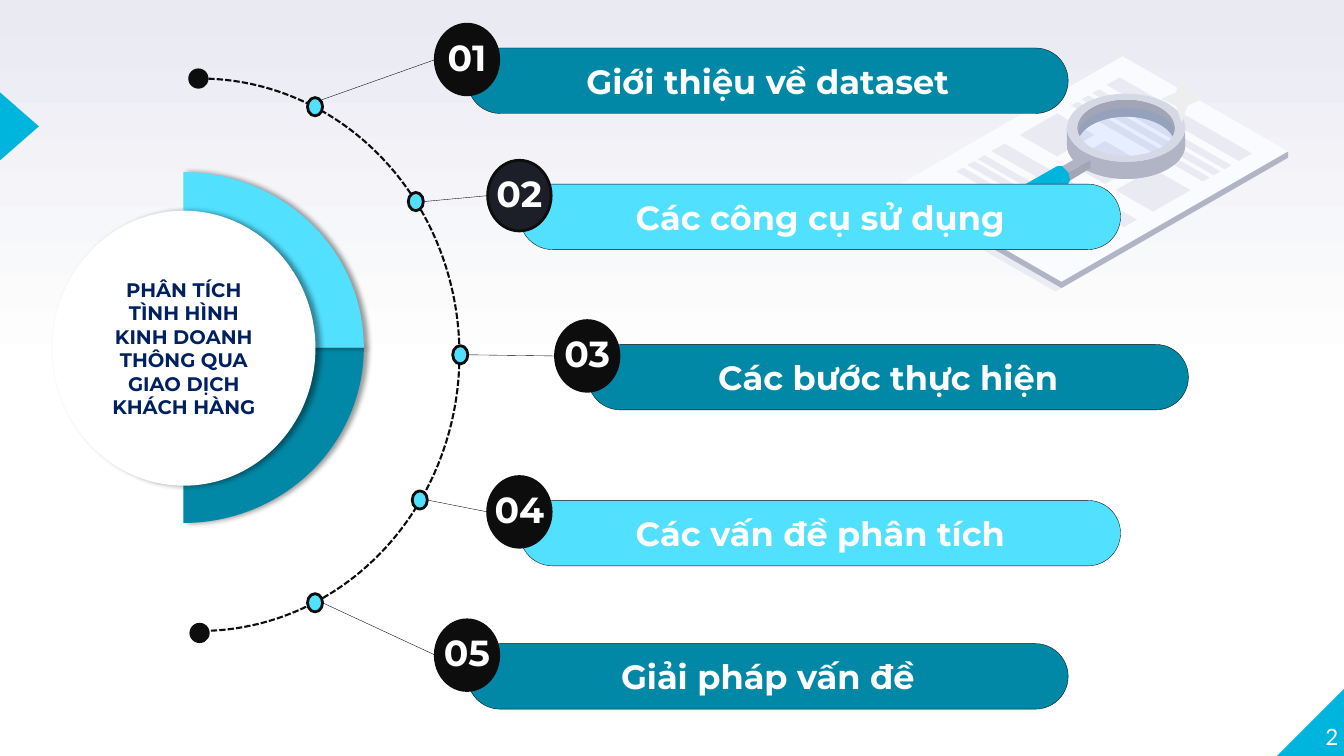
from collections import namedtuple
from dataclasses import dataclass
from math import cos, pi, sin

from lxml import etree
from pptx import Presentation
from pptx.dml.color import RGBColor
from pptx.enum.dml import MSO_LINE
from pptx.enum.shapes import MSO_CONNECTOR, MSO_SHAPE
from pptx.enum.text import MSO_ANCHOR, PP_ALIGN
from pptx.oxml.ns import qn
from pptx.util import Cm, Pt

CIRCLE = MSO_SHAPE.FLOWCHART_CONNECTOR
PILL = MSO_SHAPE.ROUNDED_RECTANGLE
ARC = MSO_SHAPE.ARC
STAR = MSO_SHAPE.STAR_4_POINT
TRIANGLE = MSO_SHAPE.ISOSCELES_TRIANGLE
CORNER = MSO_SHAPE.RIGHT_TRIANGLE
STRAIGHT = MSO_CONNECTOR.STRAIGHT
DASHED = MSO_LINE.SQUARE_DOT
MIDDLE, BOTTOM = MSO_ANCHOR.MIDDLE, MSO_ANCHOR.BOTTOM
CENTER, RIGHT = PP_ALIGN.CENTER, PP_ALIGN.RIGHT

Box = namedtuple("Box", "left top width height")
Topic = namedtuple("Topic", "title node angle badge bar_fill badge_fill")


@dataclass(frozen=True)
class Theme:
    white: str = "FFFFFF"
    mist: str = "E9EAF2"
    accent: str = "00B5DD"
    teal: str = "0088A6"
    sky: str = "52E0FF"
    ink: str = "0D0D0D"
    slate: str = "1D1F28"
    navy: str = "002060"
    black: str = "000000"
    sheet: str = "FAFBFF"
    rim: str = "D6D8E5"
    edge: str = "B1B4C4"
    shade: str = "A1A5B5"
    glass: str = "3E7EFF"
    spark: str = "EEEEEE"
    heading_font: str = "Montserrat"
    number_font: str = "Lato"
    center_size: float = 14
    bar_size: float = 24
    badge_size: float = 25.9
    page_size: float = 16
    hairline: float = 0.25
    arc_line: float = 1.5
    ring_line: float = 2


THEME = Theme()

TOPICS = [
    Topic("Giới thiệu về dataset", (7.94, 2.69), -pi / 4, (10.97, 0.61), THEME.teal, THEME.ink),
    Topic("Các công cụ sử dụng", (10.48, 5.08), 0, (12.29, 4.04), THEME.sky, THEME.slate),
    Topic("Các bước thực hiện", (11.6, 8.94), 0, (14, 8.08), THEME.teal, THEME.ink),
    Topic("Các vấn đề phân tích", (10.58, 12.6), 0, (12.29, 12.01), THEME.sky, THEME.ink),
    Topic("Giải pháp vấn đề", (7.94, 15.19), 0, (10.97, 15.62), THEME.teal, THEME.ink),
]


def assign(target, values):
    for name, value in values.items():
        setattr(target, name, value)


def paint(shape, fill=None, line=None, weight=0, alpha=None, shadow=False):
    shape.shadow.inherit = False
    if fill:
        shape.fill.solid()
        shape.fill.fore_color.rgb = RGBColor.from_string(fill)
    else:
        shape.fill.background()
    if line:
        shape.line.color.rgb = RGBColor.from_string(line)
        shape.line.width = Pt(weight)
    else:
        shape.line.fill.background()
    if alpha:
        color = shape.element.spPr.find(qn("a:solidFill"))[0]
        etree.SubElement(color, qn("a:alpha"), val=str(alpha * 1000))
    if shadow:
        effects = shape.element.spPr.find(qn("a:effectLst"))
        outer = etree.SubElement(effects, qn("a:outerShdw"), blurRad=str(Pt(4)), dist=str(Pt(3)),
                                 dir="0", algn="l", rotWithShape="0")
        color = etree.SubElement(outer, qn("a:srgbClr"), val=THEME.black)
        etree.SubElement(color, qn("a:alpha"), val="40000")
    return shape


def add_preset(page, kind, box, **style):
    return paint(page.shapes.add_shape(kind, *map(Cm, box)), **style)


def add_dot(page, center, width, height, **style):
    box = Box(center[0] - width / 2, center[1] - height / 2, width, height)
    return add_preset(page, CIRCLE, box, **style)


def add_outline(page, box, contours, fill, **style):
    contours = [[(Cm(box.left + x), Cm(box.top + y)) for x, y in points] for points in contours]
    builder = page.shapes.build_freeform(*contours[0][0], scale=1)
    for position, points in enumerate(contours):
        if position:
            builder.move_to(*points[0])
        builder.add_line_segments(points[1:], close=True)
    return paint(builder.convert_to_shape(), fill, **style)


def ellipse(center, radii, start=0, end=360, steps=48):
    angles = [(start + (end - start) * step / steps) * pi / 180 for step in range(steps + 1)]
    return [(center[0] + radii[0] * cos(a), center[1] + radii[1] * sin(a)) for a in angles]


def write(shape, text, color, size, font=THEME.heading_font, bold=True,
          frame_format=None, para_format=None):
    frame = shape.text_frame
    assign(frame, {"word_wrap": True, "vertical_anchor": MIDDLE, **(frame_format or {})})
    para = frame.paragraphs[0]
    assign(para, {"alignment": CENTER, **(para_format or {})})
    span = para.add_run()
    span.text = text
    assign(span.font, {"name": font, "size": Pt(size), "bold": bold})
    span.font.color.rgb = RGBColor.from_string(color)


def draw_backdrop(page, box):
    fill = page.background.fill
    fill.gradient()
    fill.gradient_angle = 90
    for stop, position, color in zip(fill.gradient_stops, (0.5, 1), (THEME.white, THEME.mist)):
        stop.position = position
        stop.color.rgb = RGBColor.from_string(color)
    side = 1.73
    corner = Box(box.width - side + 0.04, box.height - side, side, side)
    add_preset(page, CORNER, corner, fill=THEME.accent).rotation = 270
    marker = Box(box.left - 0.38, box.top + 2.69, side, 0.99)
    add_preset(page, TRIANGLE, marker, fill=THEME.accent).rotation = 90


def draw_document(page, box):
    def slab(across, down, width, length):
        corners = [(across, down), (across + width, down),
                   (across + width, down + length), (across, down + length)]
        return [(u + v, 3.28 + 0.575 * (v - u)) for u, v in corners]

    paper = slab(0, 0, 5.71, 4.17)
    left, _, right, bottom = paper
    lowered = [(x, y + 0.16) for x, y in (left, bottom, right)]
    cast = [(x - 0.15, y + 0.25) for x, y in paper]
    add_outline(page, box, [cast], THEME.rim, alpha=40)
    add_outline(page, box, [[left, *lowered, right]], THEME.edge)
    add_outline(page, box, [paper], THEME.sheet)
    margin, full = 0.43, 3.33
    rows = [(4.88, 0.33, full), (4.52, 0.17, full), (4.25, 0.17, full), (3.98, 0.17, full),
            (1.98, 0.33, full), (1.63, 0.17, 3.12), (1.37, 0.17, 3.02), (1.09, 0.17, 2.57)]
    for across, width, length in rows:
        add_outline(page, box, [slab(across, margin, width, length)], THEME.mist)
    for column in range(3):
        add_outline(page, box, [slab(2.69, margin + 1.21 * column, 0.94, 0.94)], THEME.mist)


def draw_magnifier(page, box):
    top, base = (5.8, 1.8), (5.8, 2.23)
    outer, inner = (1.49, 0.86), (1.23, 0.71)

    def ring(center):
        return [ellipse(center, outer), ellipse(center, inner, 360, 0)]

    def wall(radii, start, end):
        return [ellipse(top, radii, start, end) + ellipse(base, radii, end, start)]

    add_outline(page, box, ring(base), THEME.edge)
    add_outline(page, box, wall(inner, 180, 360), THEME.shade)
    add_outline(page, box, [ellipse((5.82, 2.01), (1.24, 0.71))], THEME.glass, alpha=10)
    add_outline(page, box, wall(outer, 0, 180), THEME.edge)
    add_outline(page, box, ring(top), THEME.rim)
    neck_top = [(4.9, 2.62), (4.27, 2.97), (4.06, 2.84), (4.7, 2.49)]
    neck_side = [(4.9, 2.82), (4.27, 3.2), (4.27, 2.97), (4.9, 2.62)]
    grip = [(4.39, 3.12), (4.34, 2.92), (4.19, 2.77), (4.06, 2.77),
            (2.49, 3.66), (2.77, 4.17), (4.32, 3.25)]
    for points, color in ((neck_top, THEME.edge), (neck_side, THEME.shade), (grip, THEME.accent)):
        add_outline(page, box, [points], color)
    spark = Box(box.left + 6.68, box.top + 0.48, 1.04, 1.19)
    add_preset(page, STAR, spark, fill=THEME.spark).adjustments[0] = 0.2


def draw_dial(page, box):
    hub = (3.3, 4.42)
    for start, color in ((0, THEME.teal), (270, THEME.sky)):
        sector = [hub, *ellipse(hub, (4.55, 4.42), start, start + 90)]
        add_outline(page, box, [sector], color, shadow=True)
    disc = add_preset(page, CIRCLE, Box(box.left, box.top + 0.97, 6.63, 6.93),
                      fill=THEME.white, shadow=True)
    write(disc, "PHÂN TÍCH TÌNH HÌNH KINH DOANH THÔNG QUA GIAO DỊCH KHÁCH HÀNG",
          THEME.navy, THEME.center_size)
    orbit = Box(box.left - 2.82, box.top - 2.36, 13.08, 13.92)
    arc = add_preset(page, ARC, orbit, line=THEME.ink, weight=THEME.arc_line)
    arc.adjustments[0], arc.adjustments[1] = 162, 54.347
    arc.line.dash_style = DASHED
    for x, y in ((3.68, -2.36), (3.71, 11.61)):
        add_dot(page, (box.left + x, box.top + y), 0.51, 0.51, fill=THEME.ink)


def draw_topic(page, box, number, topic):
    add_dot(page, topic.node, 0.38, 0.46, fill=THEME.sky, line=THEME.ink, weight=THEME.ring_line)
    bar = add_preset(page, PILL, Box(box.left + 0.81, box.top + 0.6, 15.14, 1.65),
                     fill=topic.bar_fill, line=THEME.ink, weight=THEME.hairline)
    bar.adjustments[0] = 0.5
    write(bar, topic.title, THEME.white, THEME.bar_size)
    badge = add_preset(page, CIRCLE, Box(box.left, box.top, 1.6, 1.78),
                       fill=topic.badge_fill, line=THEME.ink, weight=THEME.ring_line)
    write(badge, f"{number:02}", THEME.white, THEME.badge_size,
          frame_format={"word_wrap": False}, para_format={"line_spacing": 0.9})
    start = (topic.node[0] + 0.19 * cos(topic.angle), topic.node[1] + 0.23 * sin(topic.angle))
    link = page.shapes.add_connector(STRAIGHT, *map(Cm, (*start, box.left, box.top + 0.89)))
    link.line.color.rgb = RGBColor.from_string(THEME.black)
    link.line.width = Pt(THEME.hairline)
    etree.SubElement(link.element.spPr, qn("a:effectLst"))


def draw_page_number(page, box):
    label = page.shapes.add_textbox(*map(Cm, box))
    margins = {f"margin_{side}": 0 for side in ("left", "top", "right", "bottom")}
    write(label, "2", THEME.white, THEME.page_size, THEME.number_font, False,
          {"vertical_anchor": BOTTOM, **margins}, {"alignment": RIGHT})


def main():
    deck = Presentation()
    assign(deck, {"slide_width": Cm(33.87), "slide_height": Cm(19.05)})
    page = deck.slides.add_slide(deck.slide_layouts[6])
    draw_backdrop(page, Box(0, 0, 33.87, 19.05))
    illustration = Box(22.58, 1.42, 9.88, 5.69)
    draw_document(page, illustration)
    draw_magnifier(page, illustration)
    draw_dial(page, Box(1.32, 4.34, 7.85, 8.84))
    for number, topic in enumerate(TOPICS, 1):
        draw_topic(page, Box(*topic.badge, 15.95, 2.25), number, topic)
    draw_page_number(page, Box(32.03, 17.17, 1.7, 1.73))
    deck.save("out.pptx")


if __name__ == "__main__":
    main()
